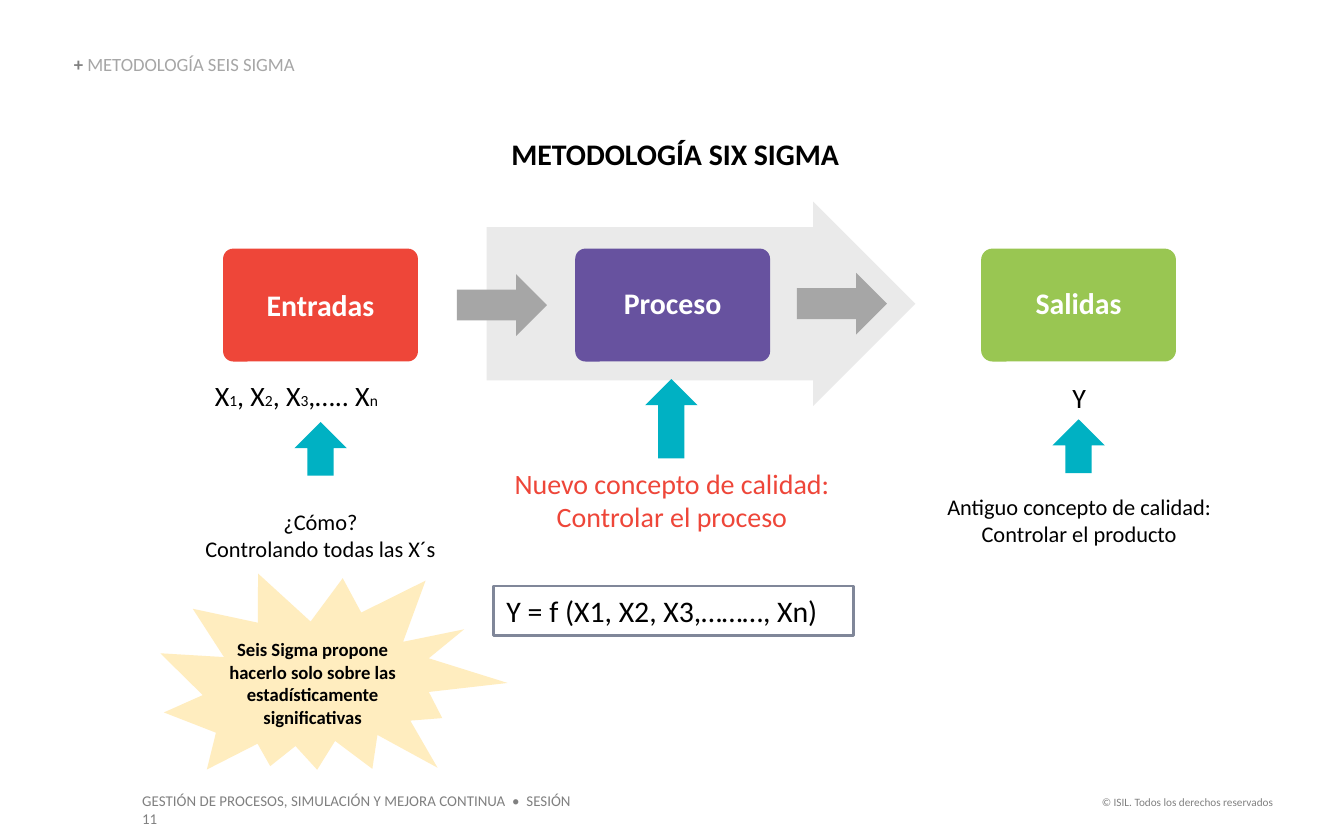
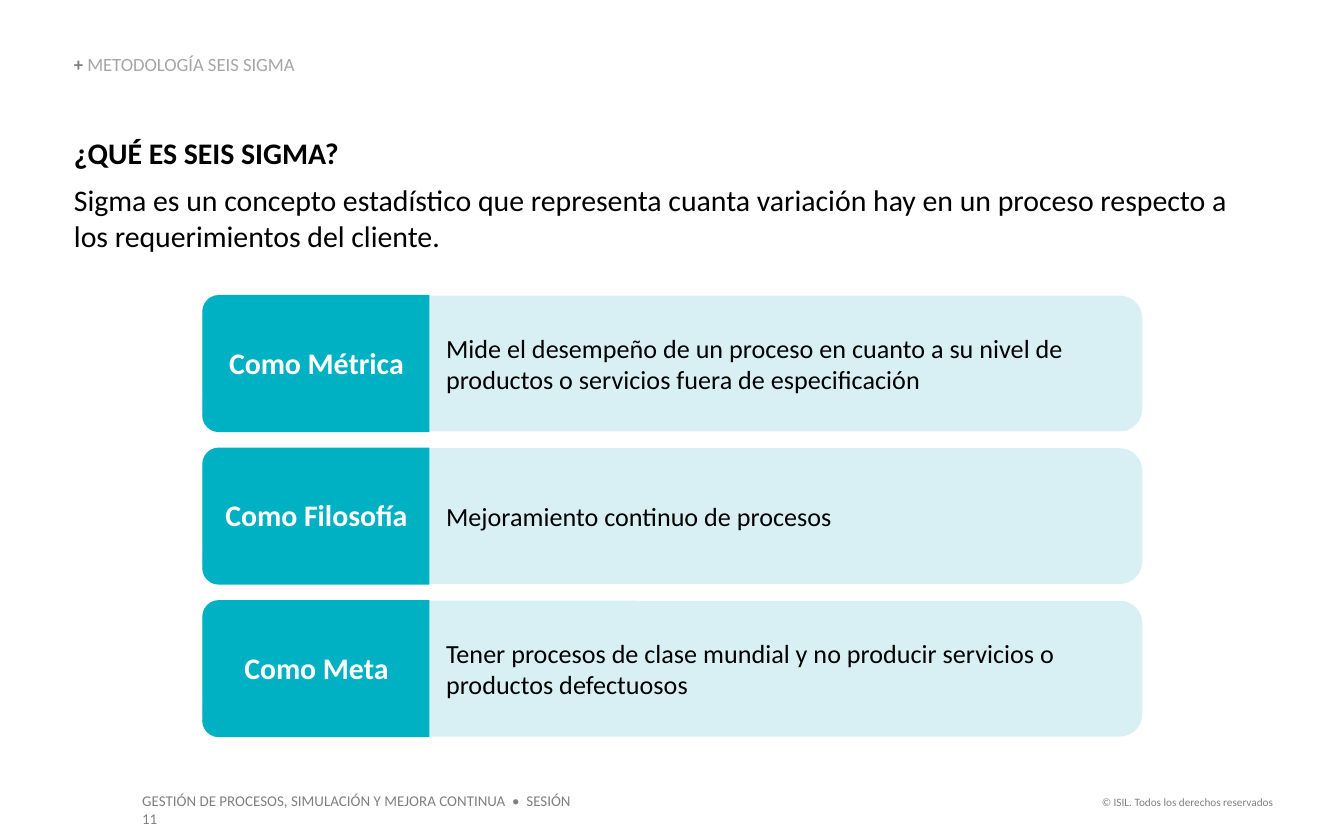
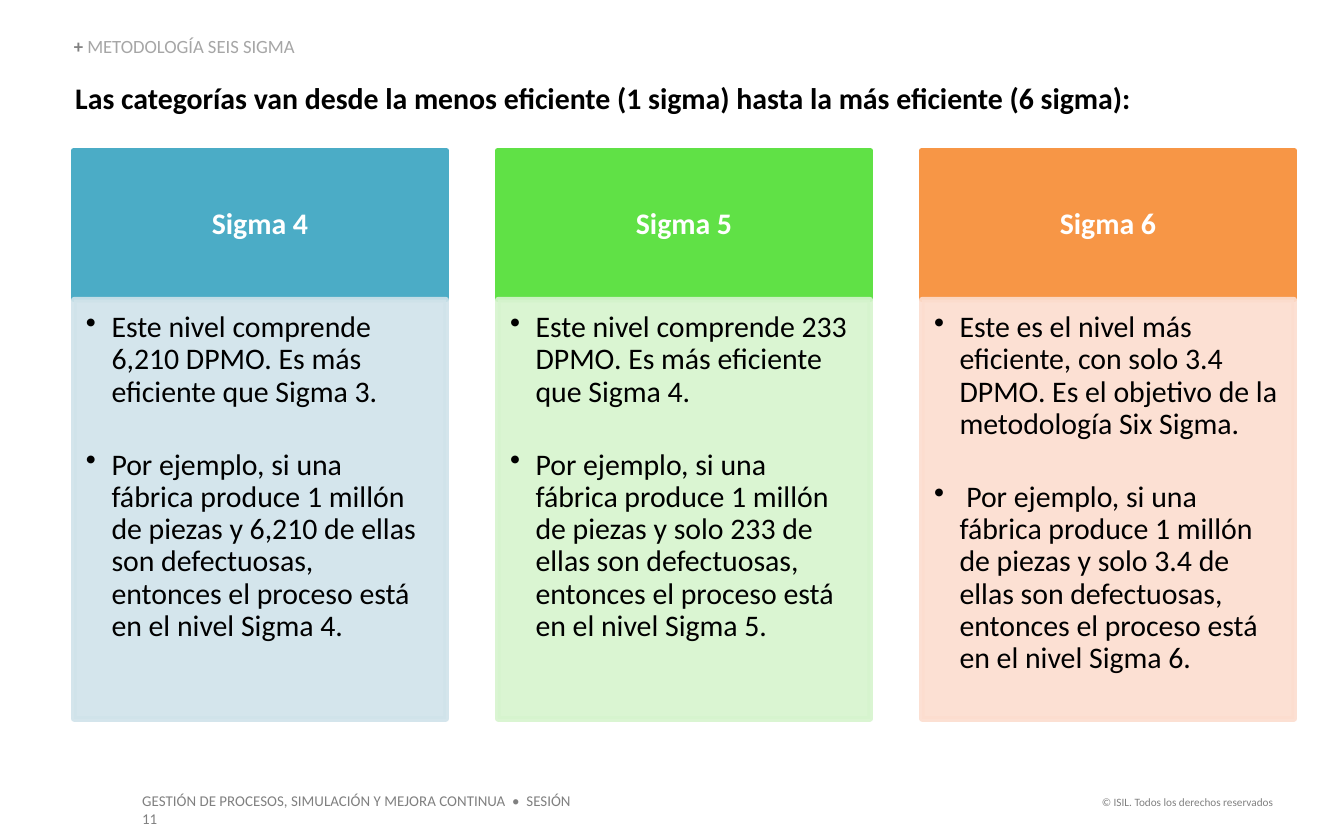
from dataclasses import dataclass
from typing import NamedTuple, Optional, Sequence, Union

from pptx import Presentation
from pptx.dml.color import RGBColor
from pptx.enum.shapes import MSO_SHAPE
from pptx.enum.text import MSO_ANCHOR, MSO_AUTO_SIZE, PP_ALIGN
from pptx.oxml.ns import qn
from pptx.shapes.autoshape import Shape
from pptx.slide import Slide
from pptx.util import Inches, Pt
from lxml.etree import SubElement

SLIDE_WIDTH, SLIDE_HEIGHT = Inches(10), Inches(6.25)
COLUMN, ROW = SLIDE_WIDTH / 40, SLIDE_HEIGHT / 25

FONT = "Calibri"
BLACK = RGBColor(0x00, 0x00, 0x00)
WHITE = RGBColor(0xFF, 0xFF, 0xFF)
GRAY = RGBColor(0x80, 0x80, 0x80)
MID_GRAY = RGBColor(0xA6, 0xA6, 0xA6)
PALE_GRAY = RGBColor(0xEA, 0xEA, 0xEA)
SLATE = RGBColor(0x80, 0x87, 0x99)
RED = RGBColor(0xEE, 0x46, 0x39)
PURPLE = RGBColor(0x67, 0x52, 0x9F)
GREEN = RGBColor(0x99, 0xC6, 0x52)
CREAM = RGBColor(0xFF, 0xED, 0xBF)
TEAL = RGBColor(0x00, 0xB1, 0xC3)
PALE_TEAL = RGBColor(0xD8, 0xF0, 0xF3)
SIGMA_BLUE, SIGMA_BLUE_PALE = RGBColor(0x4B, 0xAC, 0xC6), RGBColor(0xD0, 0xE3, 0xEA)
SIGMA_GREEN, SIGMA_GREEN_PALE = RGBColor(0x60, 0xE1, 0x46), RGBColor(0xD6, 0xF4, 0xCE)
SIGMA_ORANGE, SIGMA_ORANGE_PALE = RGBColor(0xF7, 0x96, 0x46), RGBColor(0xFC, 0xDD, 0xCF)

TEXT_INSET = (0.1, 0.05, 0.1, 0.05)
NO_INSET = (0, 0, 0, 0)


class Area(NamedTuple):
    """Left, top, width and height in grid columns and rows."""
    left: float
    top: float
    width: float
    height: float

    def lengths(self) -> tuple:
        return (round(self.left * COLUMN), round(self.top * ROW),
                round(self.width * COLUMN), round(self.height * ROW))


class Span(NamedTuple):
    """Part of a paragraph that differs from the paragraph's format."""
    text: str
    size: Optional[float] = None
    color: Optional[RGBColor] = None
    bold: Optional[bool] = None


Paragraph = Union[str, Sequence[Span]]


@dataclass(frozen=True)
class Stage:
    name: str
    left: float
    color: RGBColor
    corner: float
    spacing: float


@dataclass(frozen=True)
class Meaning:
    label: str
    description: str


@dataclass(frozen=True)
class Level:
    name: str
    color: RGBColor
    pale: RGBColor
    points: tuple


STAGES = (
    Stage("Entradas", 6.64, RED, 0.09, 1),
    Stage("Proceso", 17.12, PURPLE, 0.09, 0.9),
    Stage("Salidas", 29.2, GREEN, 0.1, 0.9),
)
FLOW_ARROWS = (Area(13.6, 8.16, 2.68, 1.84), Area(23.72, 8.12, 2.68, 1.84))
UP_ARROWS = (
    Area(19.2, 11.28, 1.56, 2.36),
    Area(8.76, 12.56, 1.56, 1.6),
    Area(31.32, 12.48, 1.56, 1.6),
)
INPUTS = tuple(Span(text, size) for text, size in (
    ("X", 15), ("1", 8.3), (", X", 15), ("2", 8.3),
    (", X", 15), ("3", 8.3), (",….. X", 15), ("n", 8.3)))
MEANINGS = (
    Meaning("Como Métrica", "Mide el desempeño de un proceso en cuanto a su nivel de "
            "productos o servicios fuera de especificación"),
    Meaning("Como Filosofía", "Mejoramiento continuo de procesos"),
    Meaning("Como Meta", "Tener procesos de clase mundial y no producir servicios o "
            "productos defectuosos"),
)
LEVELS = (
    Level("Sigma 4", SIGMA_BLUE, SIGMA_BLUE_PALE, (
        "Este nivel comprende 6,210 DPMO. Es más eficiente que Sigma 3.",
        "Por ejemplo, si una fábrica produce 1 millón de piezas y 6,210 de ellas "
        "son defectuosas, entonces el proceso está en el nivel Sigma 4.")),
    Level("Sigma 5", SIGMA_GREEN, SIGMA_GREEN_PALE, (
        "Este nivel comprende 233 DPMO. Es más eficiente que Sigma 4.",
        "Por ejemplo, si una fábrica produce 1 millón de piezas y solo 233 de ellas "
        "son defectuosas, entonces el proceso está en el nivel Sigma 5.")),
    Level("Sigma 6", SIGMA_ORANGE, SIGMA_ORANGE_PALE, (
        "Este es el nivel más eficiente, con solo 3.4 DPMO. Es el objetivo de "
        "la metodología Six Sigma.",
        " Por ejemplo, si una fábrica produce 1 millón de piezas y solo 3.4 de ellas "
        "son defectuosas, entonces el proceso está en el nivel Sigma 6.")),
)


def write(holder: Shape, *paragraphs: Paragraph, size: float = 16,
          color: RGBColor = BLACK, bold: bool = False,
          align: PP_ALIGN = PP_ALIGN.LEFT, anchor: MSO_ANCHOR = MSO_ANCHOR.TOP,
          inset: tuple = TEXT_INSET, spacing: float = 1, gap: float = 0,
          bullet: bool = False) -> None:
    """Fill a shape with paragraphs; gap is the space in points between them."""
    frame = holder.text_frame
    frame.word_wrap = True
    frame.auto_size = MSO_AUTO_SIZE.NONE
    frame.vertical_anchor = anchor
    (frame.margin_left, frame.margin_top,
     frame.margin_right, frame.margin_bottom) = map(Inches, inset)
    for index, content in enumerate(paragraphs):
        paragraph = frame.add_paragraph() if index else frame.paragraphs[0]
        if bullet:
            properties = paragraph._p.get_or_add_pPr()
            properties.set("marL", str(Inches(0.19)))
            properties.set("indent", str(-Inches(0.19)))
            SubElement(properties, qn("a:buChar")).set("char", "•")
        paragraph.alignment = align
        paragraph.line_spacing = spacing
        paragraph.space_before = Pt(gap if index else 0)
        for span in [Span(content)] if isinstance(content, str) else content:
            run = paragraph.add_run()
            run.text = span.text
            run.font.name = FONT
            run.font.size = Pt(span.size or size)
            run.font.bold = bold if span.bold is None else span.bold
            run.font.color.rgb = span.color or color


def add_text(slide: Slide, area: Area, *paragraphs: Paragraph, **text_format) -> None:
    write(slide.shapes.add_textbox(*area.lengths()), *paragraphs, **text_format)


def add_figure(slide: Slide, kind: MSO_SHAPE, area: Area, fill: RGBColor,
               line: Optional[RGBColor] = None, line_width: float = 0,
               adjust: Sequence[float] = (), rotation: float = 0,
               opacity: Optional[int] = None) -> Shape:
    figure = slide.shapes.add_shape(kind, *area.lengths())
    figure.shadow.inherit = False
    figure.rotation = rotation
    for index, value in enumerate(adjust):
        figure.adjustments[index] = value
    figure.fill.solid()
    figure.fill.fore_color.rgb = fill
    if line is None:
        figure.line.fill.background()
    else:
        figure.line.color.rgb = line
        figure.line.width = Pt(line_width)
    if opacity is not None:
        for tint in figure.element.spPr.iter(qn("a:srgbClr")):
            SubElement(tint, qn("a:alpha")).set("val", str(opacity * 1000))
    return figure


def start_slide(deck, title: str, title_area: Area, section_top: float = 1.64,
                **title_format) -> Slide:
    """Add a slide with its title, section label and footers."""
    slide = deck.slides.add_slide(deck.slide_layouts[5])
    heading = slide.shapes.title
    heading.left, heading.top, heading.width, heading.height = title_area.lengths()
    write(heading, title, bold=True, **title_format)
    add_text(slide, Area(2.2, section_top, 10.64, 0.6),
             (Span("+ ", color=GRAY, bold=True), Span("METODOLOGÍA SEIS SIGMA")),
             size=10, color=MID_GRAY, anchor=MSO_ANCHOR.BOTTOM, inset=NO_INSET,
             spacing=0.9)
    add_text(slide, Area(32.28, 23.48, 6, 0.8), "© ISIL. Todos los derechos reservados",
             size=6, color=GRAY, align=PP_ALIGN.RIGHT, inset=(0, 0.05, 0.1, 0.05))
    add_text(slide, Area(3.84, 23.36, 14.12, 0.96),
             "GESTIÓN DE PROCESOS, SIMULACIÓN Y MEJORA CONTINUA  •  SESIÓN 11",
             size=8, color=GRAY, inset=(0.1, 0.05, 0.16, 0.05))
    return slide


def build_process(deck) -> None:
    slide = start_slide(deck, "METODOLOGÍA SIX SIGMA", Area(2.24, 4.04, 35.72, 1.08),
                        align=PP_ALIGN.CENTER, inset=NO_INSET)
    add_figure(slide, MSO_SHAPE.RIGHT_ARROW, Area(14.48, 6, 12.76, 6.08), PALE_GRAY,
               adjust=(0.75, 0.5))
    for stage in STAGES:
        box = add_figure(slide, MSO_SHAPE.ROUNDED_RECTANGLE,
                         Area(stage.left, 7.4, 5.8, 3.36), stage.color,
                         adjust=(stage.corner,))
        write(box, stage.name, color=WHITE, bold=True, align=PP_ALIGN.CENTER,
              anchor=MSO_ANCHOR.MIDDLE, spacing=stage.spacing)
    for area in FLOW_ARROWS:
        add_figure(slide, MSO_SHAPE.RIGHT_ARROW, area, MID_GRAY)
    for area in UP_ARROWS:
        add_figure(slide, MSO_SHAPE.UP_ARROW, area, TEAL)

    add_text(slide, Area(6, 11.08, 7.08, 1.4), INPUTS)
    add_text(slide, Area(31.2, 11.12, 1.84, 1.4), "Y", size=15, align=PP_ALIGN.CENTER)
    add_text(slide, Area(14.72, 13.68, 10.56, 2.44), "Nuevo concepto de calidad:",
             "Controlar el proceso", size=15, color=RED, align=PP_ALIGN.CENTER)
    add_text(slide, Area(5.4, 14.92, 8.28, 2), "¿Cómo?", "Controlando todas las X´s",
             size=12, align=PP_ALIGN.CENTER)
    add_text(slide, Area(27.56, 14.48, 9.12, 2), "Antiguo concepto de calidad:",
             "Controlar el producto", size=12, align=PP_ALIGN.CENTER)
    formula = add_figure(slide, MSO_SHAPE.RECTANGLE, Area(14.68, 17.44, 10.72, 1.48),
                         WHITE, line=SLATE, line_width=1.5)
    write(formula, "Y = f (X1, X2, X3,………, Xn)")
    add_figure(slide, MSO_SHAPE.EXPLOSION2, Area(4.76, 16.6, 10.16, 7.24), CREAM,
               rotation=16.5)
    add_text(slide, Area(6, 18.8, 6.6, 3.08),
             "Seis Sigma propone hacerlo solo sobre las estadísticamente significativas",
             size=10, bold=True, align=PP_ALIGN.CENTER)


def build_meanings(deck) -> None:
    slide = start_slide(deck, "¿QUÉ ES SEIS SIGMA?", Area(2.2, 4, 35.28, 1.08),
                        inset=NO_INSET)
    add_text(slide, Area(2.2, 5.42, 35.28, 2.14),
             "Sigma es un concepto estadístico que representa cuanta variación hay en un "
             "proceso respecto a los requerimientos del cliente.", inset=NO_INSET)
    for index, meaning in enumerate(MEANINGS):
        top = 8.8 + index * 4.54
        band = add_figure(slide, MSO_SHAPE.ROUNDED_RECTANGLE, Area(6, top, 28, 4.04),
                          PALE_TEAL)
        write(band, meaning.description, size=14, anchor=MSO_ANCHOR.MIDDLE,
              inset=(1.77, 0, 0, 0))
        add_figure(slide, MSO_SHAPE.ROUND_2_SAME_RECTANGLE,
                   Area(7.36, top - 1.36, 4.08, 6.76), TEAL,
                   adjust=(0.12, 0), rotation=270)
        add_text(slide, Area(6.08, top + 1.26, 6.68, 1.48), meaning.label,
                 color=WHITE, bold=True, align=PP_ALIGN.CENTER)


def build_levels(deck) -> None:
    slide = start_slide(
        deck, "Las categorías van desde la menos eficiente (1 sigma) hasta la más "
        "eficiente (6 sigma):", Area(1.84, 2.16, 36.32, 1.48), section_top=1.12,
        align=PP_ALIGN.JUSTIFY)
    for index, level in enumerate(LEVELS):
        left = 2.2 + index * 12.62
        header = add_figure(slide, MSO_SHAPE.RECTANGLE, Area(left, 4.48, 11.08, 4.44),
                            level.color, line=level.color, line_width=3)
        write(header, level.name, color=WHITE, bold=True, align=PP_ALIGN.CENTER,
              anchor=MSO_ANCHOR.MIDDLE, inset=(0.12, 0.07, 0.12, 0.07), spacing=0.9)
        body = add_figure(slide, MSO_SHAPE.RECTANGLE, Area(left, 8.92, 11.08, 12.48),
                          level.pale, line=level.pale, line_width=3, opacity=90)
        write(body, *level.points, inset=(0.09, 0.09, 0.12, 0.14), spacing=0.9,
              gap=22, bullet=True)


def main() -> None:
    deck = Presentation()
    deck.slide_width, deck.slide_height = SLIDE_WIDTH, SLIDE_HEIGHT
    for build in (build_process, build_meanings, build_levels):
        build(deck)
    deck.save("out.pptx")


if __name__ == "__main__":
    main()
